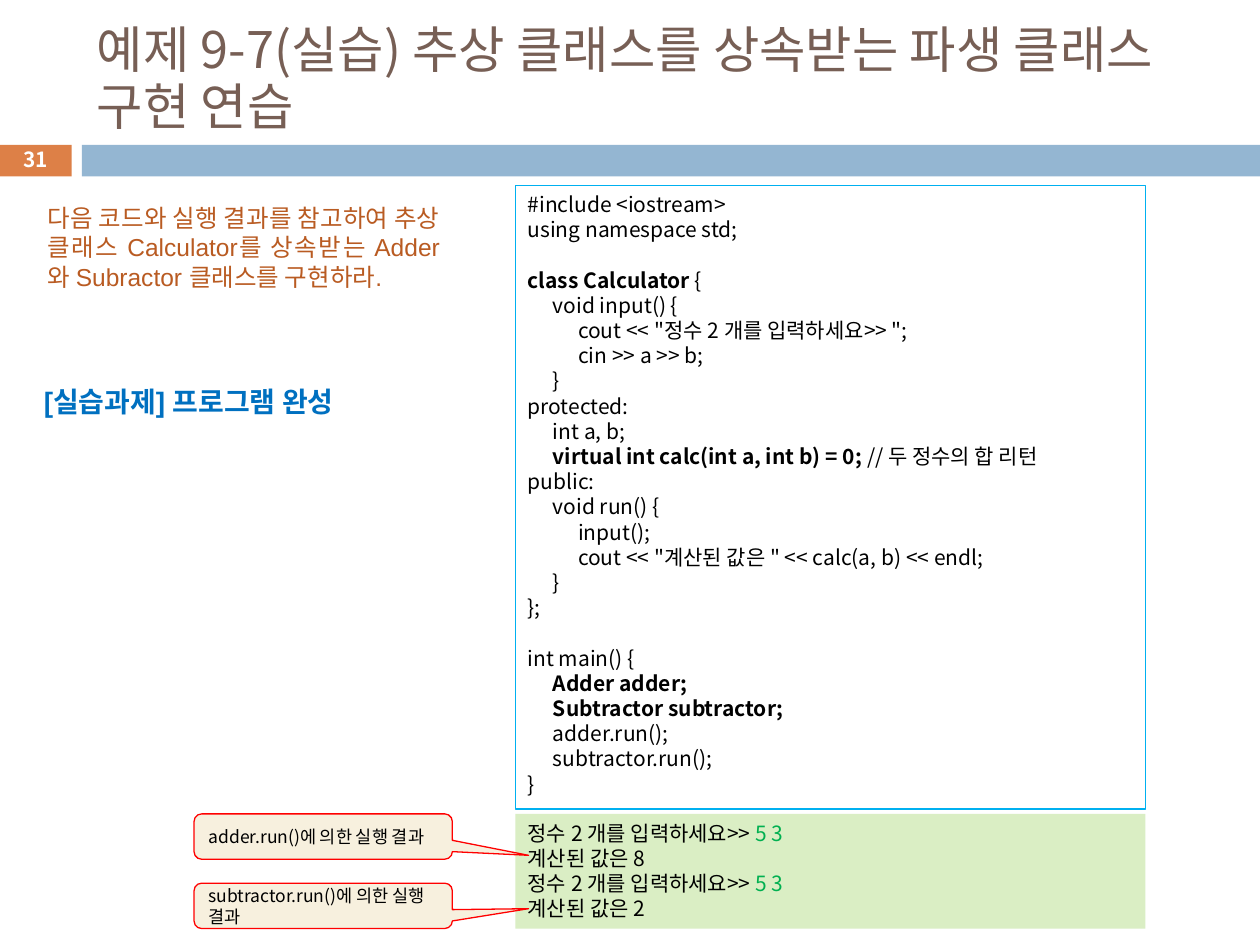
from dataclasses import dataclass

from pptx import Presentation
from pptx.dml.color import RGBColor
from pptx.enum.shapes import MSO_SHAPE
from pptx.enum.text import MSO_ANCHOR, PP_ALIGN
from pptx.oxml.ns import qn
from pptx.util import Inches, Pt

RECT = MSO_SHAPE.RECTANGLE
CALLOUT = MSO_SHAPE.ROUNDED_RECTANGULAR_CALLOUT
TOP, MIDDLE = MSO_ANCHOR.TOP, MSO_ANCHOR.MIDDLE
LEFT, CENTER, JUSTIFY = PP_ALIGN.LEFT, PP_ALIGN.CENTER, PP_ALIGN.JUSTIFY

COLS, ROWS = 100, 75
CELL = Inches(0.1)
TAB = Inches(0.2)
TAB_SPACES = 4
MARK = "**"


@dataclass(frozen=True)
class Theme:
    sans: str = "Arial"
    cjk: str = "Noto Sans CJK KR"
    title: str = "775F55"
    badge: str = "DD8047"
    bar: str = "94B6D2"
    white: str = "FFFFFF"
    ink: str = "000000"
    code_line: str = "00B0F0"
    output: str = "DAEEC4"
    typed: str = "00B050"
    task: str = "B95B22"
    homework: str = "0070C0"
    callout: str = "F7F0DE"
    callout_line: str = "FF0000"
    title_pt: float = 28.8
    homework_pt: float = 16
    task_pt: float = 14
    code_pt: float = 12
    badge_pt: float = 11.9
    callout_pt: float = 10


T = Theme()

CODE = """#include <iostream>
using namespace std;

**class Calculator **{
    void input() {
        cout << "정수 2 개를 입력하세요>> ";
        cin >> a >> b;
    }
protected:
    int a, b;
    **virtual int calc(int a, int b) = 0; **// 두 정수의 합 리턴
public:
    void run() {
        input();
        cout << "계산된 값은 " << calc(a, b) << endl;
    }
};

int main() {
    **Adder adder;**
    **Subtractor subtractor;**
    adder.run();
    subtractor.run();
}"""

OUTPUT = """정수 2 개를 입력하세요>> **5 3**
계산된 값은 8
정수 2 개를 입력하세요>> **5 3**
계산된 값은 2"""

TASK = ("다음 코드와 실행 결과를 참고하여 추상 클래스 Calculator를 상속받는 "
        "Adder와 Subractor 클래스를 구현하라.")

CALLOUTS = [
    ("adder.run()에 의한 실행 결과", 64.6, 0.414),
    ("subtractor.run()에 의한 실행 결과", 70.1, 0.063),
]


def rgb(value):
    return RGBColor.from_string(value)


def grid(*cells):
    return [round(c * CELL) for c in cells]


def add_run(p, text, size, color, font, bold):
    r = p.add_run()
    r.text = text
    r.font.size = Pt(size)
    r.font.name = font
    r.font.bold = bold
    r.font.color.rgb = rgb(color)
    ea = r.font._element.makeelement(qn("a:ea"), {"typeface": T.cjk})
    r.font._element.find(qn("a:latin")).addnext(ea)


def write(s, text, size=T.code_pt, color=T.ink, font=T.cjk, bold=False,
          align=LEFT, anchor=TOP, leading=1.2, wrap=True, marked=None):
    tf = s.text_frame
    tf.word_wrap = wrap
    tf.vertical_anchor = anchor
    pitch = Pt(size * leading)
    p, gap = None, 0
    for line in text.splitlines():
        if not line:
            gap += pitch
            continue
        p = tf.add_paragraph() if p else tf.paragraphs[0]
        p.alignment = align
        p.line_spacing = pitch
        p.space_before = gap
        gap = 0
        body = line.lstrip()
        depth = (len(line) - len(body)) // TAB_SPACES
        p._p.get_or_add_pPr().set("marL", str(depth * TAB))
        base = dict(size=size, color=color, font=font, bold=bold)
        for i, part in enumerate(body.split(MARK)):
            if part:
                add_run(p, part, **{**base, **(marked or {} if i % 2 else {})})


def add_box(slide, at, shape=RECT, fill=None, line=None):
    s = slide.shapes.add_shape(shape, *grid(*at))
    s.shadow.inherit = False
    if fill:
        s.fill.solid()
        s.fill.fore_color.rgb = rgb(fill)
    else:
        s.fill.background()
    if line:
        s.line.color.rgb = rgb(line)
        s.line.width = Pt(0.75)
    else:
        s.line.fill.background()
    return s


def add_text(slide, at, text, **fmt):
    write(slide.shapes.add_textbox(*grid(*at)), text, **fmt)


def add_callout(slide, text, top, tail):
    s = add_box(slide, (15.4, top, 20.5, 3.6), CALLOUT, T.callout, T.callout_line)
    s.adjustments[0] = 0.795
    s.adjustments[1] = tail
    write(s, text, size=T.callout_pt, anchor=MIDDLE)


def main():
    prs = Presentation()
    prs.slide_width, prs.slide_height = grid(COLS, ROWS)
    slide = prs.slides.add_slide(prs.slide_layouts[6])

    add_box(slide, (0, 11.5, 5.7, 2.5), fill=T.badge)
    add_box(slide, (6.5, 11.5, COLS - 6.5, 2.5), fill=T.bar)
    add_text(slide, (6.7, 2.5, 89.2, 7.4),
             "예제 9-7(실습) 추상 클래스를 상속받는 파생 클래스 구현 연습",
             size=T.title_pt, color=T.title, anchor=MIDDLE, leading=1.15)
    add_text(slide, (0, 11.3, 5.7, 2.7), "31", size=T.badge_pt,
             color=T.white, bold=True, align=CENTER, anchor=MIDDLE)

    code = add_box(slide, (40.9, 14.7, 50, 49.5), line=T.code_line)
    write(code, CODE, marked={"bold": True})
    output = add_box(slide, (40.9, 64.6, 50, 9.1), fill=T.output)
    write(output, OUTPUT, marked={"color": T.typed})

    add_text(slide, (2.8, 15.6, 33.1, 10.4), TASK, size=T.task_pt,
             color=T.task, font=T.sans, align=JUSTIFY)
    for text, top, tail in CALLOUTS:
        add_callout(slide, text, top, tail)
    add_text(slide, (2.5, 30, 27.6, 3.7), "[실습과제] 프로그램 완성",
             size=T.homework_pt, color=T.homework, font=T.sans, bold=True,
             wrap=False)

    prs.save("out.pptx")


if __name__ == "__main__":
    main()
